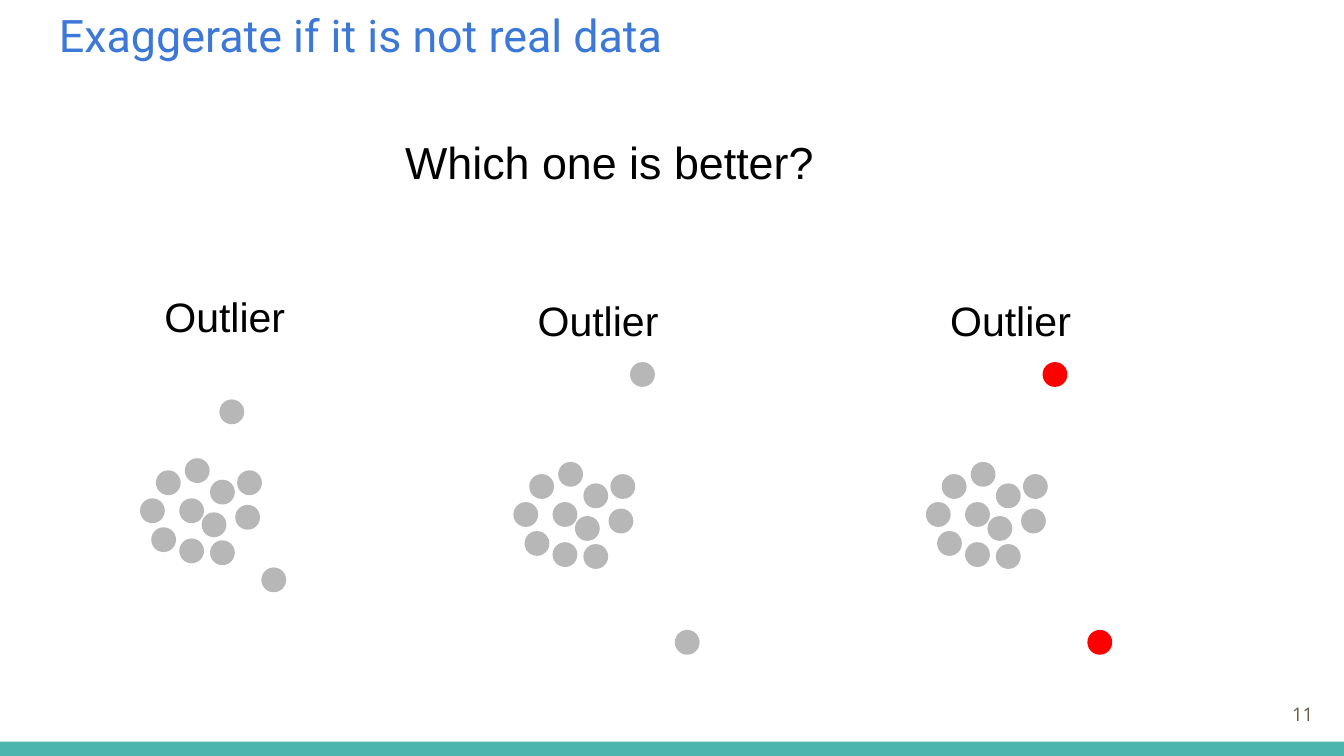
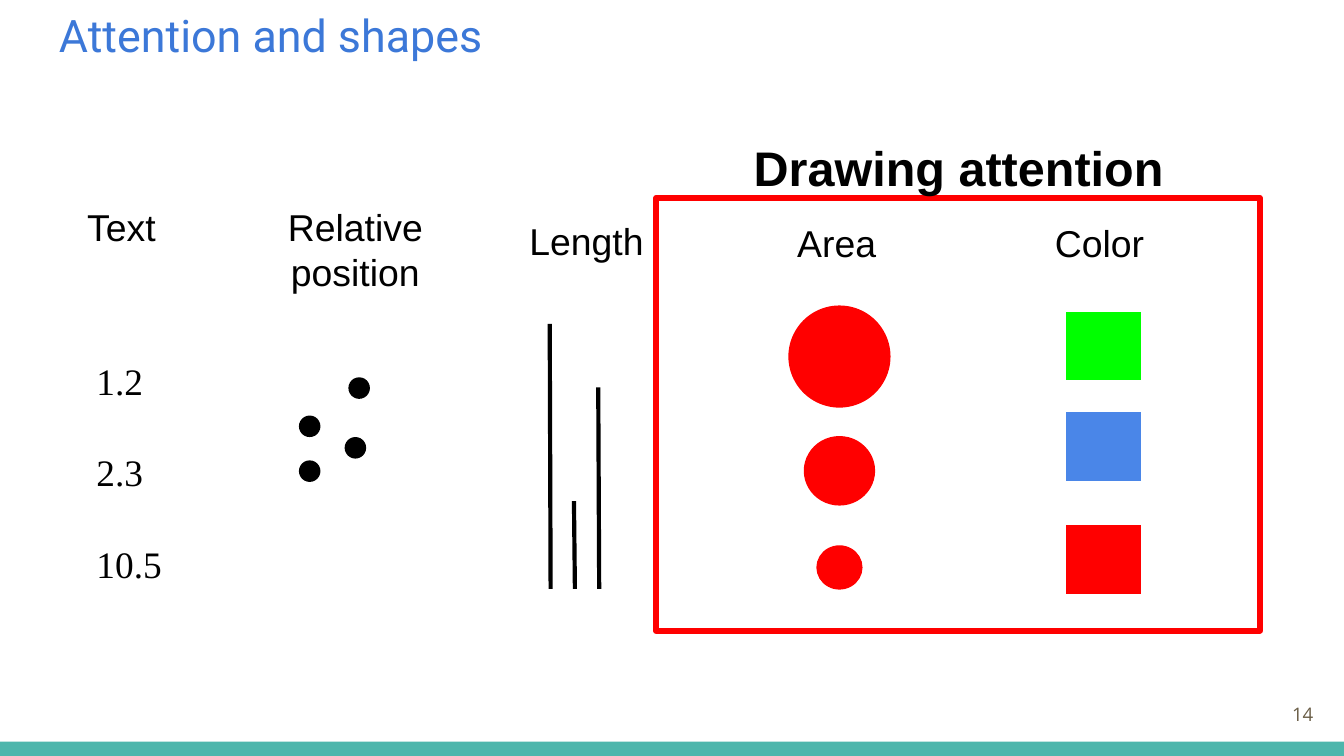
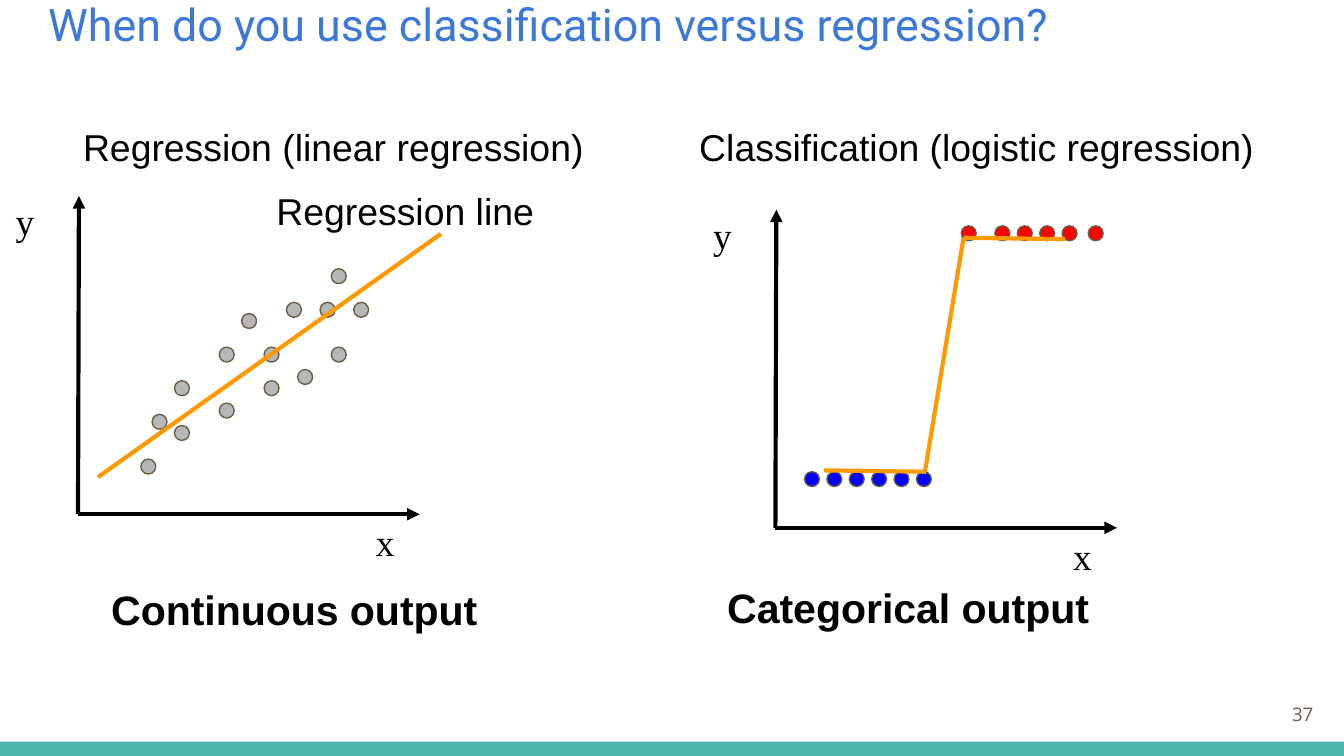
"""Build three slides on drawing attention and choosing a model."""
from dataclasses import dataclass
from typing import Any, NamedTuple

from pptx import Presentation, oxml, util as u
from pptx.dml import color
from pptx.enum import shapes, text
from pptx.oxml import ns

Pt = u.Pt
KIND = shapes.MSO_SHAPE


@dataclass(frozen=True)
class Theme:
    """Hold the colours, fonts and type sizes of the deck."""
    ink: str = "000000"
    title: str = "3C78D8"
    band: str = "4DB6AC"
    muted: str = "695D46"
    grey: str = "B7B7B7"
    red: str = "FF0000"
    green: str = "00FF00"
    sky: str = "4A86E8"
    blue: str = "0000FF"
    orange: str = "FF9900"
    sans: str = "Arial"
    serif: str = "Times New Roman"
    title_font: str = "Roboto"
    number_font: str = "Open Sans"
    title_size: float = 24
    heading: float = 26
    question: float = 24
    label: float = 22
    body: float = 20
    number: float = 10
    thin: float = 0.75
    stroke: float = 2.25
    frame: float = 3


T = Theme()


class Box(NamedTuple):
    """Place a rectangle on the slide in points."""
    x: float
    y: float
    w: float
    h: float


class Point(NamedTuple):
    """Place a point on the slide in points."""
    x: float
    y: float


@dataclass(frozen=True)
class Style:
    """Describe the fill and outline of a shape."""
    fill: str | None = None
    line: str | None = None
    width: float = T.thin


@dataclass(frozen=True)
class Label:
    """Describe a text box with one style throughout."""
    words: str
    box: Box
    size: float = T.body
    font: str = T.sans
    ink: str = T.ink
    bold: bool = False


@dataclass(frozen=True)
class Cluster:
    """Describe a cloud of dots with its outliers."""
    origin: Point
    outliers: tuple[Point, ...]
    outlier_ink: str


def rgb(value: str) -> color.RGBColor:
    """Turn a hex string into a colour."""
    return color.RGBColor.from_string(value)


def apply(target: Any, values: dict[str, Any]) -> None:
    """Set every named attribute on the target."""
    for name, value in values.items():
        setattr(target, name, value)


def paint(sp: Any, style: Style) -> None:
    """Give a shape its fill and outline without a shadow."""
    sp.shadow.inherit = False
    if style.fill:
        sp.fill.solid()
        sp.fill.fore_color.rgb = rgb(style.fill)
    else:
        sp.fill.background()
    if style.line:
        sp.line.color.rgb = rgb(style.line)
        sp.line.width = Pt(style.width)
    else:
        sp.line.fill.background()


def draw_shape(s: Any, kind: Any, box: Box, style: Style, turn: float = 0) -> None:
    """Draw a preset shape."""
    sp = s.shapes.add_shape(kind, *map(Pt, box))
    sp.rotation = turn
    paint(sp, style)


def draw_dot(s: Any, x: float, y: float, size: float, style: Style, turn: float = 0) -> None:
    """Draw a round data point."""
    draw_shape(s, KIND.FLOWCHART_CONNECTOR, Box(x, y, size, size), style, turn)


def draw_line(s: Any, start: Point, end: Point, ink: str = T.ink, arrow: bool = False) -> None:
    """Draw a straight line, with an arrowhead at its end if asked."""
    sp = s.shapes.add_connector(shapes.MSO_CONNECTOR.STRAIGHT, *map(Pt, (*start, *end)))
    sp.line.color.rgb = rgb(ink)
    sp.line.width = Pt(T.stroke)
    if arrow:
        sp.get_or_add_ln().append(
            oxml.parse_xml(f'<a:tailEnd {ns.nsdecls("a")} type="triangle"/>'))
    sp._element.spPr.append(oxml.parse_xml(f'<a:effectLst {ns.nsdecls("a")}/>'))


def draw_plateau(s: Any, start: Point, end: Point) -> None:
    """Draw a flat stretch of the step curve."""
    pen = s.shapes.build_freeform(Pt(start.x), Pt(start.y))
    pen.add_line_segments([(Pt(end.x), Pt(end.y))], close=False)
    paint(pen.convert_to_shape(), Style(line=T.orange, width=T.stroke))


def draw_text(s: Any, label: Label, anchor: Any = text.MSO_ANCHOR.TOP, **layout: Any) -> None:
    """Write a label, one paragraph a line, with the given paragraph format."""
    tf = s.shapes.add_textbox(*map(Pt, label.box)).text_frame
    margins = {f"margin_{side}": Pt(7.2) for side in ("left", "top", "right", "bottom")}
    apply(tf, {"word_wrap": True, "vertical_anchor": anchor, **margins})
    for i, line in enumerate(label.words.split("\n")):
        p = tf.paragraphs[0] if i == 0 else tf.add_paragraph()
        apply(p, {k: v for k, v in layout.items() if i or k != "space_before"})
        r = p.add_run()
        r.text = line
        apply(r.font, {"name": label.font, "size": Pt(label.size), "bold": label.bold})
        r.font.color.rgb = rgb(label.ink)


def start_slide(prs: Any, title: str, number: int, corner: Point = Point(24.5, -7.2)) -> Any:
    """Add a blank slide with the band, title and page number."""
    s = prs.slides.add_slide(prs.slide_layouts[6])
    draw_shape(s, KIND.RECTANGLE, Box(0, 397.3, 720, 7.7), Style(T.band))
    draw_text(s, Label(title, Box(*corner, 671, 86.4), T.title_size, T.title_font, T.title),
              line_spacing=1.15, space_after=Pt(18))
    draw_text(s, Label(str(number), Box(667.5, 367, 43.2, 31), T.number, T.number_font, T.muted),
              text.MSO_ANCHOR.MIDDLE, alignment=text.PP_ALIGN.RIGHT)
    return s


CLOUD = ((24, 0), (21, 21.5), (37.5, 11.5), (33, 29), (6, 37), (8.5, 6.5),
         (0, 21.5), (51, 25), (21, 43), (52, 6.5), (37.5, 44))
NEAR = (Point(42.5, -31.5), Point(65, 58.5))
FAR = (Point(62.5, -53.5), Point(86.5, 90))
CLUSTERS = (
    Cluster(Point(75, 245.5), NEAR, T.grey),
    Cluster(Point(275, 247.5), FAR, T.grey),
    Cluster(Point(496, 247.5), FAR, T.red),
)


def draw_cluster(s: Any, cluster: Cluster) -> None:
    """Draw a cloud of dots, its outliers and its label."""
    x, y = cluster.origin
    for spots, ink in ((CLOUD, T.grey), (cluster.outliers, cluster.outlier_ink)):
        for dx, dy in spots:
            draw_dot(s, x + dx, y + dy, 13.3, Style(ink), 60)
    draw_text(s, Label("Outlier", Box(x + 6, y - 96.5, 92, 34.5), T.label))


def build_outliers(prs: Any) -> None:
    """Build the slide that compares three ways to show outliers."""
    s = start_slide(prs, "Exaggerate if it is not real data", 11)
    for cluster in CLUSTERS:
        draw_cluster(s, cluster)
    draw_text(s, Label("Which one is better?", Box(210, 65, 289, 34.5), T.question))


def build_attention(prs: Any) -> None:
    """Build the slide that ranks visual encodings by attention."""
    s = start_slide(prs, "Attention and shapes", 14)
    for x, y in ((160.5, 223), (185, 234.5), (160.5, 247), (187, 202.5)):
        draw_dot(s, x, y, 10.8, Style(T.ink, T.ink))
    for i, top in enumerate((173.5, 268.5, 207.5)):
        x = 294.5 + 13 * i
        draw_line(s, Point(x, top), Point(x + 0.5, 315.5))
    draw_text(s, Label("1.2\n2.3\n10.5", Box(44.6, 184.5, 70, 121), font=T.serif),
              space_before=Pt(25))
    for words, x, y, w in (("Text", 39.6, 102.2, 58.3), ("Length", 276.5, 109.5, 85),
                           ("Area", 420, 111, 68.4), ("Color", 558, 111, 68.4)):
        draw_text(s, Label(words, Box(x, y, w, 36.7)))
    draw_text(s, Label("Relative position", Box(134.6, 102.2, 111.6, 36.7)),
              alignment=text.PP_ALIGN.CENTER)
    for top, w, h in ((164, 54, 54), (234, 37.5, 36.5), (292.5, 24, 23)):
        draw_shape(s, KIND.OVAL, Box(449.7 - w / 2, top, w, h), Style(T.red, T.red))
    for top, ink in ((167, T.green), (221, T.sky), (281.5, T.red)):
        draw_shape(s, KIND.FLOWCHART_PROCESS, Box(571, top, 40.3, 36.7), Style(ink))
    draw_shape(s, KIND.RECTANGLE, Box(351.5, 106, 323.5, 232), Style(line=T.red, width=T.frame))
    draw_text(s, Label("Drawing attention", Box(396.7, 67, 260, 33), T.heading, bold=True))


def draw_axes(s: Any, origin: Point) -> None:
    """Draw a pair of arrows from the origin and name them."""
    x, y = origin
    for end in (Point(x + 183, y), Point(x + 0.5, y - 170.5)):
        draw_line(s, origin, end, arrow=True)
    for name, dx, dy in (("x", 152.5, -4.5), ("y", -40.5, -176.5)):
        draw_text(s, Label(name, Box(x + dx, y + dy, 33, 34), font=T.serif))


SCATTER = ((9, 4), (11, 10), (17, 7), (13, 3), (19, 3), (14, 9), (7, 7), (7, 12),
           (3, 10), (17, 0), (11, 7), (16, 3), (3, 14), (1, 13), (0, 17))
STEP = 6


def build_models(prs: Any) -> None:
    """Build the slide that sets regression beside classification."""
    s = start_slide(prs, "When do you use classification versus regression?", 37,
                    Point(18.7, -13))
    draw_axes(s, Point(41.8, 275.5))
    draw_axes(s, Point(415.4, 282.8))
    dots = [(75.5 + STEP * col, 144 + STEP * row, T.grey) for col, row in SCATTER]
    dots += [(431 + 2 * STEP * i, 252.7, T.blue) for i in range(6)]
    dots += [(x, 121, T.red) for x in (515, 533, 545, 557, 569, 583)]
    for x, y, ink in dots:
        draw_dot(s, x, y, 8, Style(ink, T.muted))
    draw_line(s, Point(236.2, 125.3), Point(52.5, 255.6), T.orange)
    draw_plateau(s, Point(441.5, 252), Point(496, 252.7))
    draw_line(s, Point(495.5, 252.7), Point(516.2, 127.4), T.orange)
    draw_plateau(s, Point(516.2, 127.4), Point(570.5, 128.1))
    for words, box in (
        ("Regression line", Box(141, 93.6, 164, 47)),
        ("Regression (linear regression)", Box(37.4, 59.5, 289.5, 44.6)),
        ("Classification (logistic regression)", Box(367.5, 59.5, 322.5, 44.6)),
    ):
        draw_text(s, Label(words, box))
    for words, x, y in (("Continuous output", 52.5, 306), ("Categorical output", 382.5, 304.8)):
        draw_text(s, Label(words, Box(x, y, 218, 47), T.label, bold=True))


def main() -> None:
    """Build the deck and save it."""
    prs = Presentation()
    apply(prs, {"slide_width": Pt(720), "slide_height": Pt(405)})
    for build in (build_outliers, build_attention, build_models):
        build(prs)
    prs.save("out.pptx")


if __name__ == "__main__":
    main()
